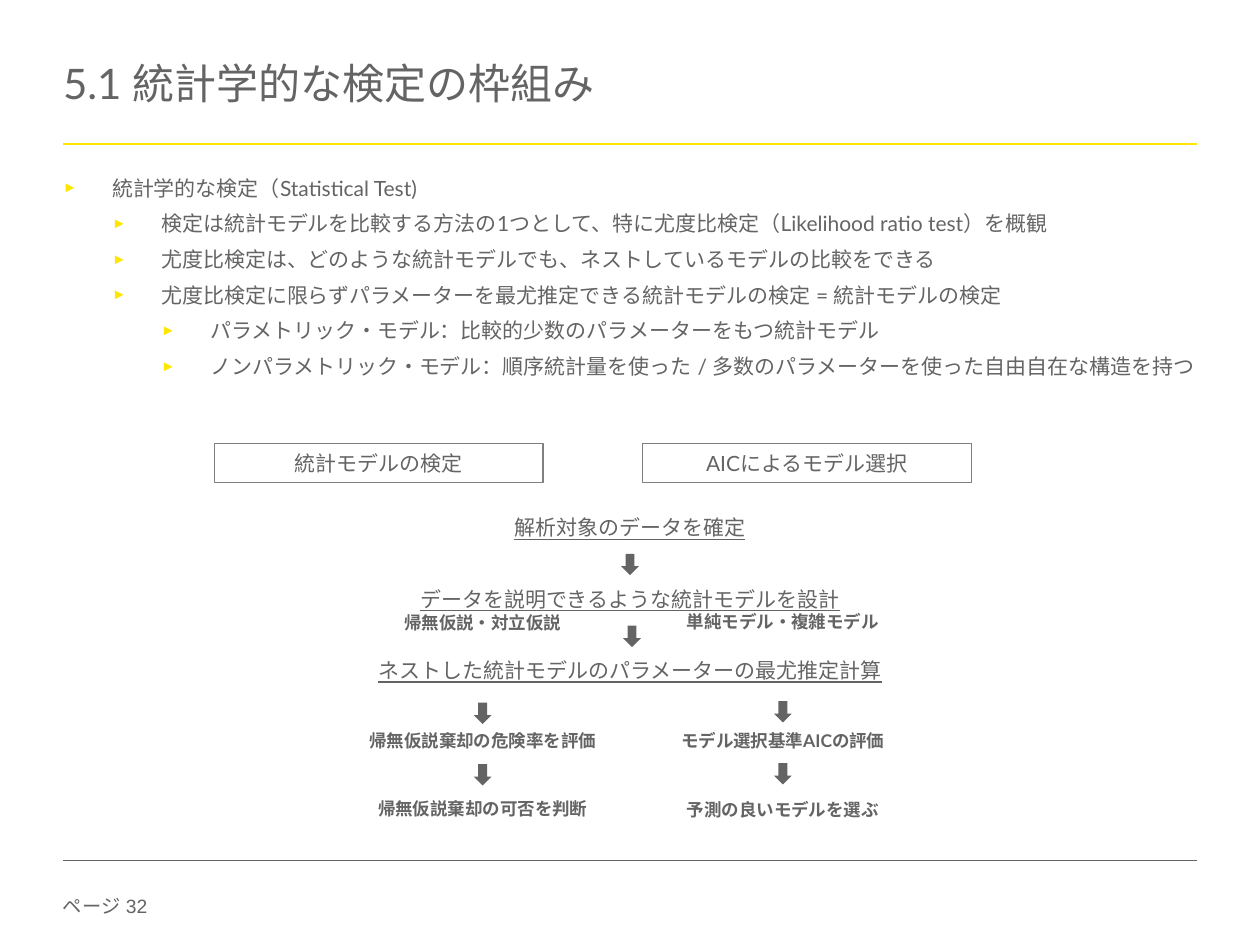
from lxml import etree
from pptx import Presentation
from pptx import util as u
from pptx.dml.color import RGBColor
from pptx.enum import shapes, text
from pptx.oxml import ns

GRAY = RGBColor(0x64, 0x64, 0x64)
EDGE = RGBColor(0x80, 0x80, 0x80)
GOLD = RGBColor(0xFF, 0xE6, 0x00)
LATO, NOTO = "Lato", "Noto Sans CJK JP"
MID, LEFT, RIGHT = 12.7, 9.73, 15.78

TITLE = "5.1 統計学的な検定の枠組み"
POINTS = [
    (0, "統計学的な検定（Statistical Test)"),
    (1, "検定は統計モデルを比較する方法の1つとして、特に尤度比検定（Likelihood ratio test）を概観"),
    (1, "尤度比検定は、どのような統計モデルでも、ネストしているモデルの比較をできる"),
    (1, "尤度比検定に限らずパラメーターを最尤推定できる統計モデルの検定 = 統計モデルの検定"),
    (2, "パラメトリック・モデル：比較的少数のパラメーターをもつ統計モデル"),
    (2, "ノンパラメトリック・モデル：順序統計量を使った / 多数のパラメーターを使った自由自在な構造を持つ"),
]
HEADS = [(4.32, "統計モデルの検定", NOTO), (12.95, "AICによるモデル選択", LATO)]
STEPS = [
    (6.25, "解析対象のデータを確定"),
    (8.97, "データを説明できるような統計モデルを設計"),
    (11.68, "ネストした統計モデルのパラメーターの最尤推定計算"),
]
NOTES = [
    (LEFT, 12.31, "帰無仮説・対立仮説", NOTO),
    (RIGHT, 12.29, "単純モデル・複雑モデル", NOTO),
    (LEFT, 14.68, "帰無仮説棄却の危険率を評価", NOTO),
    (RIGHT, 14.68, "モデル選択基準AICの評価", LATO),
    (LEFT, 16.05, "帰無仮説棄却の可否を判断", NOTO),
    (RIGHT, 16.08, "予測の良いモデルを選ぶ", LATO),
]
ARROWS = [(MID, 11.38), (MID + 0.04, 12.83), (LEFT, 14.38), (LEFT, 15.62),
          (RIGHT, 14.35), (RIGHT, 15.6)]
RULES = [(2.9, GOLD, 1.5), (17.35, GRAY, 0.25)]


def put(obj, vals):
    for key, val in vals.items():
        setattr(obj, key, val)


def write(para, words, face, size, **more):
    run = para.add_run()
    run.text = words
    put(run.font, dict(name=face, size=u.Pt(size), **more))
    run.font.color.rgb = GRAY
    asian = etree.SubElement(run.font._element, ns.qn("a:ea"))
    asian.set("typeface", face)


def frame(box, top=0, **more):
    put(box.text_frame, dict(margin_left=0, margin_right=0, margin_bottom=0,
                             margin_top=u.Cm(top), word_wrap=True, **more))
    return box.text_frame.paragraphs[0]


def label(slide, mid, top, wide, high, words, face, size, **more):
    box = slide.shapes.add_textbox(*map(u.Cm, (mid - wide / 2, top, wide, high)))
    para = frame(box, 0.1, auto_size=text.MSO_AUTO_SIZE.SHAPE_TO_FIT_TEXT)
    put(para, dict(alignment=text.PP_ALIGN.CENTER, line_spacing=0.85,
                   space_after=u.Pt(6)))
    write(para, words, face, size, **more)


def bullet(para, level):
    props = para._p.get_or_add_pPr()
    props.set("marL", str(u.Cm(level + 1 - 0.01 * (level + 1))))
    props.set("indent", str(-u.Cm(0.99)))
    color = etree.SubElement(props, ns.qn("a:buClr"))
    etree.SubElement(color, ns.qn("a:srgbClr")).set("val", str(GOLD))
    for tag, key, val in [("buSzPct", "val", "70000"),
                          ("buFont", "typeface", "Arial"),
                          ("buChar", "char", "►")]:
        etree.SubElement(props, ns.qn("a:" + tag)).set(key, val)


def main():
    deck = Presentation()
    put(deck, dict(slide_width=u.Cm(25.4), slide_height=u.Cm(19.05)))
    slide = deck.slides.add_slide(deck.slide_layouts[5])
    items = slide.shapes

    for y, color, width in RULES:
        rule = items.add_connector(shapes.MSO_CONNECTOR.STRAIGHT,
                                   *map(u.Cm, (1.27, y, 24.13, y)))
        rule.line.color.rgb = color
        rule.line.width = u.Pt(width)
        etree.SubElement(rule._element.spPr, ns.qn("a:effectLst"))

    title = items.title
    put(title, dict(left=u.Cm(1.27), top=u.Cm(0.56),
                    width=u.Cm(22.86), height=u.Cm(2.39)))
    para = frame(title, vertical_anchor=text.MSO_ANCHOR.MIDDLE)
    put(para, dict(alignment=text.PP_ALIGN.LEFT, line_spacing=0.85))
    write(para, TITLE, LATO, 24)

    page = items.add_textbox(*map(u.Cm, (1.27, 18.03, 3, 0.56)))
    write(frame(page), "ページ 32", "Arial", 11)

    body = items.add_textbox(*map(u.Cm, (1.27, 3.53, 22.86, 13.06)))
    para = frame(body)
    for i, (level, words) in enumerate(POINTS):
        if i:
            para = body.text_frame.add_paragraph()
            para.space_before = u.Pt(6)
        put(para, dict(alignment=text.PP_ALIGN.JUSTIFY, level=level))
        bullet(para, level)
        write(para, words, LATO, 12)

    for x, words, face in HEADS:
        head = items.add_shape(shapes.MSO_SHAPE.RECTANGLE,
                               *map(u.Cm, (x, 8.94, 6.63, 0.79)))
        head.shadow.inherit = False
        head.fill.background()
        head.line.color.rgb = EDGE
        head.line.width = u.Pt(0.75)
        head.text_frame.vertical_anchor = text.MSO_ANCHOR.MIDDLE
        para = head.text_frame.paragraphs[0]
        para.alignment = text.PP_ALIGN.CENTER
        write(para, words, face, 12)

    for i, (wide, words) in enumerate(STEPS):
        label(slide, MID, 10.36 + 1.44 * i, wide, 0.53, words, NOTO, 12, underline=True)
    for mid, top, words, face in NOTES:
        label(slide, mid, top, 5.59, 0.46, words, face, 10, bold=True)

    wide, high = 0.43, 0.36
    for x, y in ARROWS:
        arrow = items.add_shape(shapes.MSO_SHAPE.RIGHT_ARROW,
                                *map(u.Cm, (x - wide / 2, y - high / 2, wide, high)))
        arrow.rotation = 90
        arrow.shadow.inherit = False
        arrow.fill.solid()
        arrow.fill.fore_color.rgb = GRAY
        arrow.line.fill.background()

    deck.save("out.pptx")


if __name__ == "__main__":
    main()
